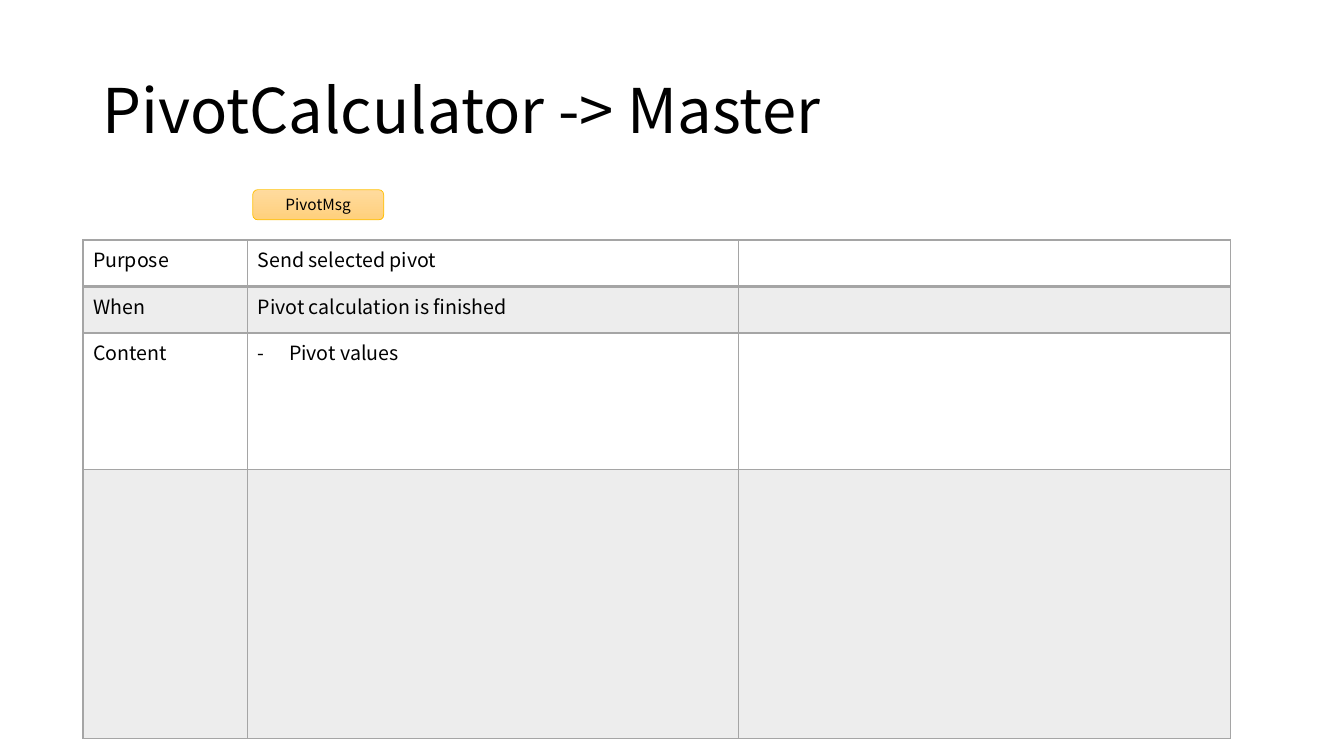
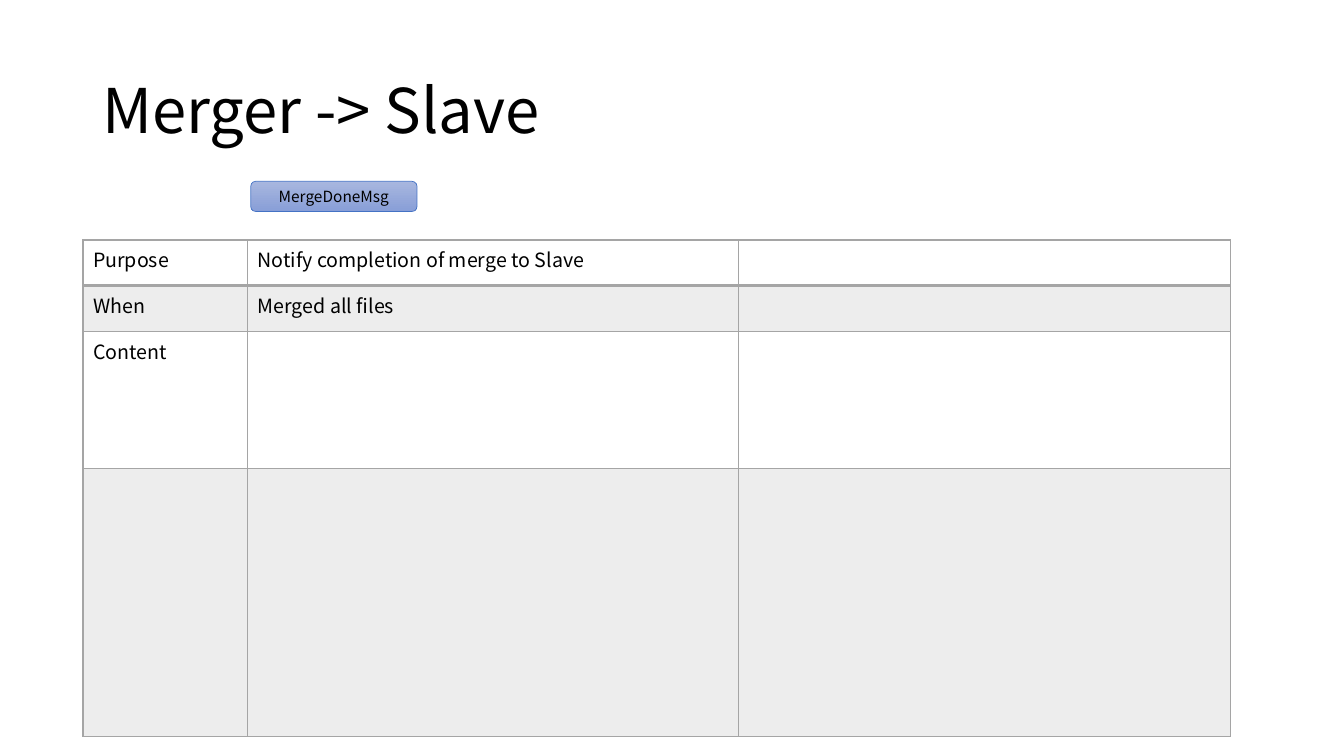
from lxml.etree import SubElement
from pptx import Presentation
from pptx.dml.color import RGBColor
from pptx.enum.shapes import MSO_SHAPE as Shape
from pptx.enum.text import MSO_ANCHOR as Anchor, PP_ALIGN as Align
from pptx.oxml.ns import qn
from pptx.util import Cm, Pt


def color(code):
    """Turn a hex string into a colour."""
    return RGBColor.from_string(code)


class MessageDeck:
    """Hold the shared style and the current slide."""

    FONT = "Noto Sans CJK KR"
    INK, GRID, BAND = "000000", "A5A5A5", "EDEDED"
    COLUMNS = (4.15, 12.38, 12.38)
    LABELS = ("Purpose", "When", "Content", "")

    def __init__(self):
        """Start a widescreen presentation."""
        self.deck = Presentation()
        self.deck.slide_width, self.deck.slide_height = Cm(33.87), Cm(19.05)
        self.slide = None

    def new_slide(self, title):
        """Add a blank slide with its title."""
        self.slide = self.deck.slides.add_slide(self.deck.slide_layouts[6])
        box = self.slide.shapes.add_textbox(Cm(2.33), Cm(1.02), Cm(29.21), Cm(3.68))
        box.text_frame.word_wrap = True
        box.text_frame.vertical_anchor = Anchor.MIDDLE
        heading = box.text_frame.paragraphs[0]
        heading.line_spacing = 0.9
        self.set_text(heading, title, 44)

    def set_text(self, paragraph, text, size):
        """Put styled text into a paragraph."""
        paragraph.text = text
        font = paragraph.font
        font.name, font.size = self.FONT, Pt(size)
        font.color.rgb = color(self.INK)

    def badge(self, text, left, top, width, gradient, outline):
        """Draw the rounded message label."""
        label = self.slide.shapes.add_shape(
            Shape.ROUNDED_RECTANGLE, Cm(left), Cm(top), Cm(width), Cm(0.76))
        label.shadow.inherit = False
        label.fill.gradient()
        label.fill.gradient_angle = 270
        for stop, code in zip(label.fill.gradient_stops, gradient):
            stop.color.rgb = color(code)
        label.line.color.rgb = color(outline)
        label.line.width = Pt(0.5)
        label.text_frame.vertical_anchor = Anchor.MIDDLE
        caption = label.text_frame.paragraphs[0]
        caption.alignment = Align.CENTER
        self.set_text(caption, text, 11)

    def border(self, cell, side, width):
        """Draw one side of a cell."""
        line = SubElement(cell._tc.get_or_add_tcPr(), qn(f"a:ln{side}"), w=str(Pt(width)))
        SubElement(SubElement(line, qn("a:solidFill")), qn("a:srgbClr"), val=self.GRID)

    def dash(self, paragraph):
        """Give a paragraph a hanging dash."""
        properties = paragraph._p.get_or_add_pPr()
        properties.set("marL", str(Cm(0.79)))
        properties.set("indent", str(-Cm(0.79)))
        SubElement(properties, qn("a:buFont"), typeface=self.FONT)
        SubElement(properties, qn("a:buChar"), char="-")

    def details(self, purpose, when, content, short_row):
        """Add the table that describes the message."""
        heights = (short_row, short_row, 3.45, 6.76)
        table = self.slide.shapes.add_table(
            len(heights), len(self.COLUMNS), Cm(2.09), Cm(6.05),
            Cm(sum(self.COLUMNS)), Cm(sum(heights))).table
        table.first_row = table.horz_banding = False
        for column, width in zip(table.columns, self.COLUMNS):
            column.width = Cm(width)
        facts = zip(self.LABELS, (purpose, when, content, ""))
        for index, (height, fact) in enumerate(zip(heights, facts)):
            table.rows[index].height = Cm(height)
            for position, text in enumerate((*fact, "")):
                cell = table.cell(index, position)
                for side in "LRTB":
                    header_edge = (index, side) in ((0, "B"), (1, "T"))
                    self.border(cell, side, 2 if header_edge else 1)
                if index % 2:
                    cell.fill.solid()
                    cell.fill.fore_color.rgb = color(self.BAND)
                else:
                    cell.fill.background()
                paragraph = cell.text_frame.paragraphs[0]
                if text and text == content:
                    self.dash(paragraph)
                self.set_text(paragraph, text, 14)


def main():
    """Build both message slides."""
    deck = MessageDeck()
    deck.new_slide("PivotCalculator -> Master")
    deck.badge("PivotMsg", 6.37, 4.78, 3.3, ("FFDB9E", "FFD07C"), "FFC000")
    deck.details("Send selected pivot", "Pivot calculation is finished", "Pivot values", 1.17)
    deck.new_slide("Merger -> Slave")
    deck.badge("MergeDoneMsg", 6.32, 4.57, 4.19, ("A8B7DF", "889ED7"), "4472C4")
    deck.details("Notify completion of merge to Slave", "Merged all files", "", 1.15)
    deck.deck.save("out.pptx")


if __name__ == "__main__":
    main()
